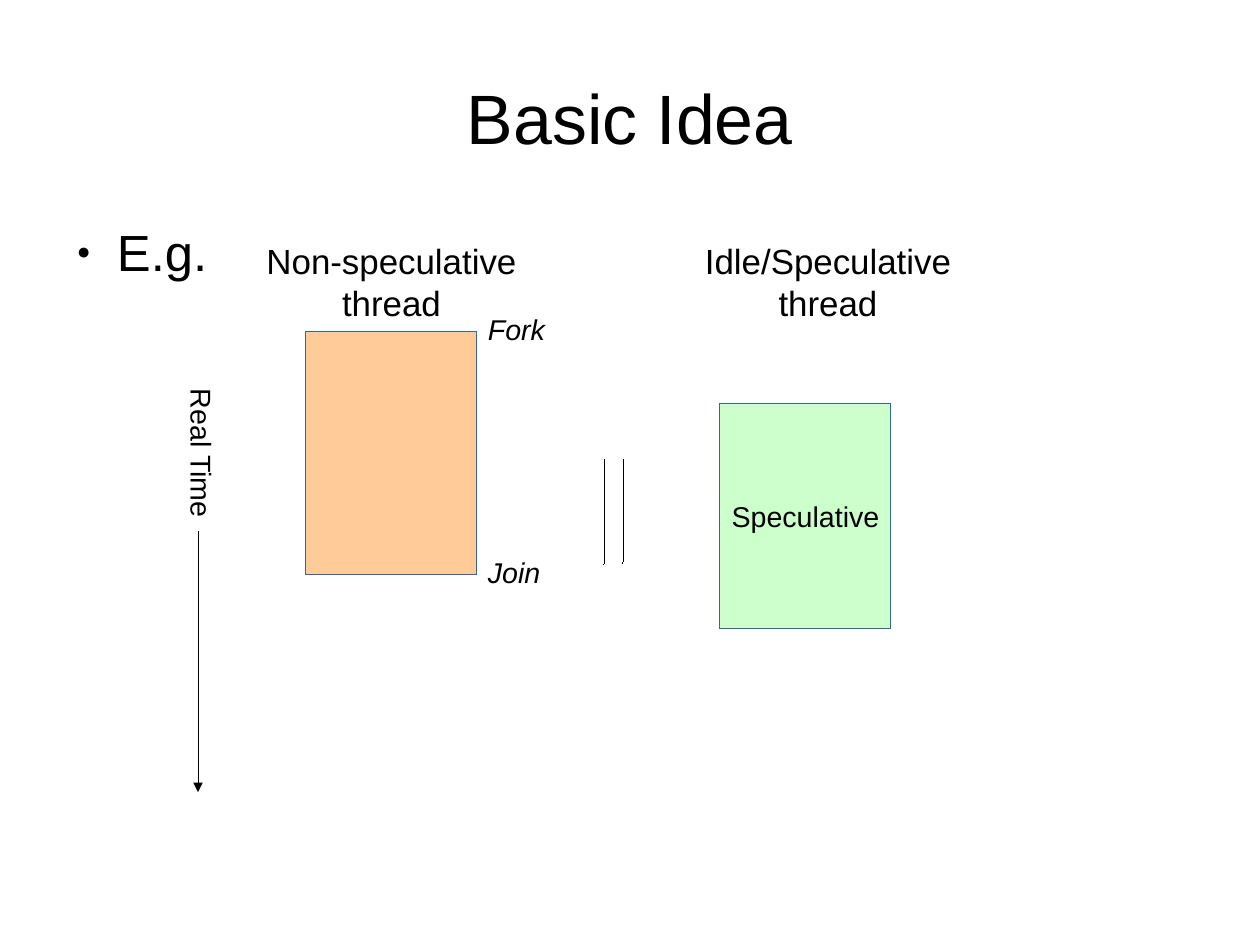
from lxml import etree
from pptx import Presentation
from pptx.dml.color import RGBColor
from pptx.enum.shapes import MSO_CONNECTOR, MSO_SHAPE
from pptx.enum.text import MSO_ANCHOR, PP_ALIGN
from pptx.oxml.ns import qn
from pptx.util import Pt

BLACK = RGBColor(0x00, 0x00, 0x00)
BLUE = RGBColor(0x34, 0x65, 0xA4)
PEACH = RGBColor(0xFF, 0xCC, 0x99)
GREEN = RGBColor(0xCC, 0xFF, 0xCC)
RECT = MSO_SHAPE.RECTANGLE
LINE = MSO_CONNECTOR.STRAIGHT
LEFT, CENTER = PP_ALIGN.LEFT, PP_ALIGN.CENTER
TOP, MIDDLE = MSO_ANCHOR.TOP, MSO_ANCHOR.MIDDLE
FONT = "Arial"
SCALE = 8000


def px(n):
    return n * SCALE


def write(shape, text, size, align=LEFT, anchor=TOP, pad=(11, 6),
          wrap=True, italic=False):
    frame = shape.text_frame
    frame.word_wrap = wrap
    frame.vertical_anchor = anchor
    frame.margin_left = frame.margin_right = px(pad[0])
    frame.margin_top = frame.margin_bottom = px(pad[1])
    para = frame.paragraphs[0]
    para.alignment = align
    run = para.add_run()
    run.text = text
    font = run.font
    font.name, font.size, font.italic = FONT, Pt(size), italic
    font.color.rgb = BLACK
    return para


def label(slide, box, text, size, **style):
    shape = slide.shapes.add_textbox(*map(px, box))
    write(shape, text, size, **style)
    return shape


def hairline(shape, color):
    shape.line.color.rgb = color
    outline = shape._element.spPr.find(qn("a:ln"))
    outline.set("w", "0")
    return outline


def block(slide, box, fill):
    shape = slide.shapes.add_shape(RECT, *map(px, box))
    shape.shadow.inherit = False
    shape.fill.solid()
    shape.fill.fore_color.rgb = fill
    hairline(shape, BLUE)
    return shape


def stroke(slide, start, end, arrow=False):
    line = slide.shapes.add_connector(LINE, *map(px, start + end))
    outline = hairline(line, BLACK)
    if arrow:
        etree.SubElement(outline, qn("a:tailEnd"), type="triangle")
    etree.SubElement(line._element.spPr, qn("a:effectLst"))


def bullet(slide, box, text):
    shape = slide.shapes.add_textbox(*map(px, box))
    para = write(shape, text, 32, pad=(0, 0))
    props = para._p.get_or_add_pPr()
    props.set("marL", str(px(54)))
    props.set("indent", str(px(-40)))
    color = etree.SubElement(props, qn("a:buClr"))
    etree.SubElement(color, qn("a:srgbClr"), val=str(BLACK))
    etree.SubElement(props, qn("a:buSzPct"), val="45000")
    etree.SubElement(props, qn("a:buFont"), typeface=FONT)
    etree.SubElement(props, qn("a:buChar"), char="●")


def main_thread(slide, box):
    x, y, w, h = box
    block(slide, box, PEACH)
    for text, edge in (("Fork", y), ("Join", y + h)):
        label(slide, (x + w, edge - 26, 179, 43), text, 18, italic=True)
    label(slide, (x - 54, y - 98, 279, 128), "Non-speculative thread", 22,
          align=CENTER)


def idle_thread(slide, box):
    x, y, w, h = box
    shape = block(slide, box, GREEN)
    write(shape, "Speculative", 18, align=CENTER, anchor=MIDDLE, wrap=False)
    label(slide, (x - 27, y - 170, 270, 89), "Idle/Speculative thread", 22,
          align=CENTER)


def bars(slide, box):
    x, y, w, h = box
    for left, top in ((x, y + 1), (x + w, y)):
        stroke(slide, (left, top), (left - 1, top + h))


def time_axis(slide, box):
    x, y, w, h = box
    text = label(slide, (x, y, w, 75), "Real Time", 18)
    text.rotation = 90.2
    stroke(slide, (x + 87, y + 114), (x + 87, y + h), arrow=True)


def main():
    deck = Presentation()
    deck.slide_width, deck.slide_height = px(1260), px(945)
    slide = deck.slides.add_slide(deck.slide_layouts[6])
    label(slide, (63, 38, 1134, 158), "Basic Idea", 44, align=CENTER,
          anchor=MIDDLE, pad=(0, 0))
    bullet(slide, (63, 221, 1134, 548), "E.g.")
    main_thread(slide, (306, 332, 171, 243))
    bars(slide, (605, 459, 19, 105))
    idle_thread(slide, (720, 404, 171, 225))
    time_axis(slide, (111, 417, 153, 375))
    deck.save("out.pptx")


if __name__ == "__main__":
    main()
